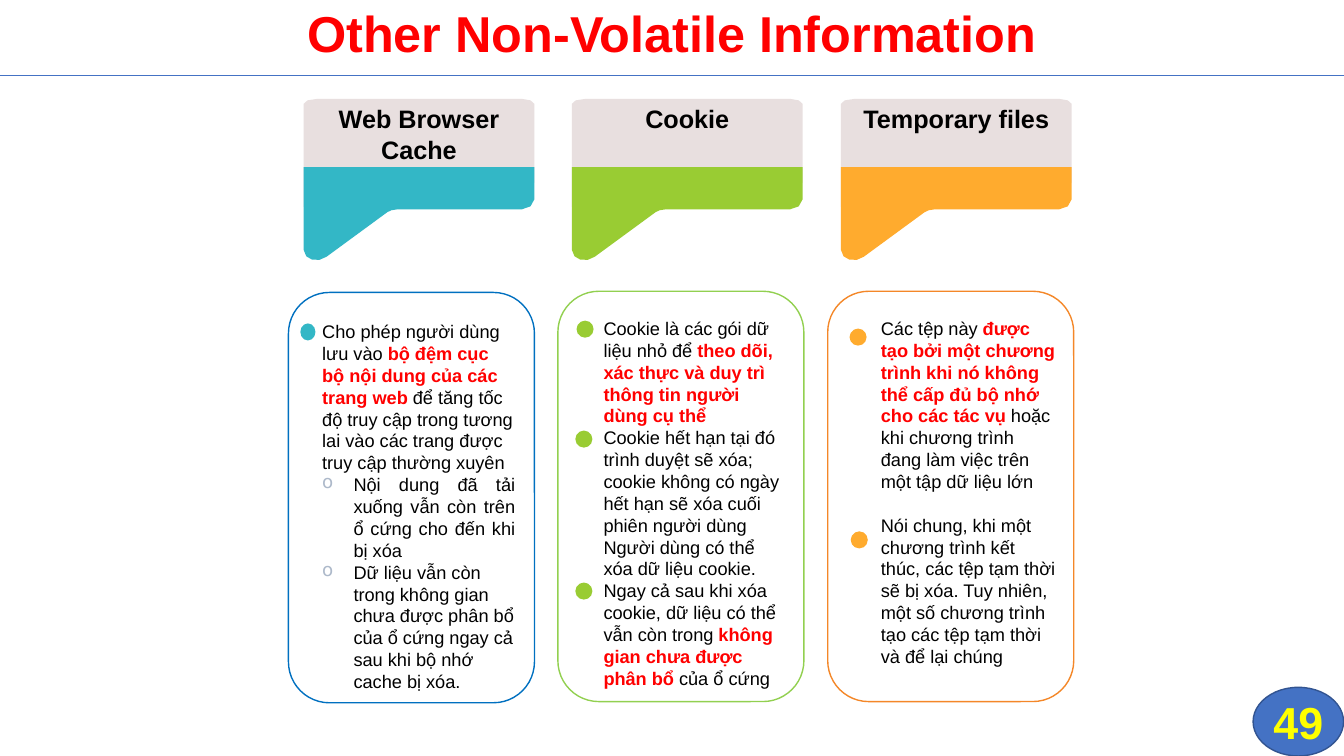
from lxml import etree
from pptx import Presentation
from pptx.dml.color import RGBColor
from pptx.enum.shapes import MSO_CONNECTOR, MSO_SHAPE
from pptx.enum.text import MSO_ANCHOR, MSO_AUTO_SIZE, PP_ALIGN
from pptx.oxml import parse_xml
from pptx.oxml.ns import nsdecls, qn
from pptx.util import Cm, Pt

COLORS = {
    "white": "FFFFFF", "black": "000000", "red": "FF0000", "yellow": "FFFF00",
    "blue": "4472C4", "dark blue": "325491", "header": "E8DFDF", "bullet": "ADB9CA",
    "teal": "33B7C6", "green": "99CC33", "orange": "FFAB2E",
    "teal frame": "0070C0", "green frame": "92D050", "orange frame": "F48728",
}


def paint(shape, fill, line=None):
    """Give a shape a flat fill and a 1 pt outline, or no outline."""
    shape.shadow.inherit = False
    shape.fill.solid()
    shape.fill.fore_color.rgb = RGBColor.from_string(COLORS[fill])
    if line:
        shape.line.color.rgb = RGBColor.from_string(COLORS[line])
        shape.line.width = Pt(1)
    else:
        shape.line.fill.background()


def set_font(font, size, color, bold):
    font.name = "Arial"
    font.size = Pt(size)
    font.bold = bold
    font.color.rgb = RGBColor.from_string(COLORS[color])


presentation = Presentation()
presentation.slide_width, presentation.slide_height = Cm(33.87), Cm(19.05)
slide = presentation.slides.add_slide(presentation.slide_layouts[5])
shapes = slide.shapes

# Title, rule and slide number
title = shapes.title
title.left, title.top, title.width, title.height = Cm(0), Cm(-0.08), Cm(33.87), Cm(1.98)
title.text_frame.text = "Other Non-Volatile Information"
title.text_frame.auto_size = MSO_AUTO_SIZE.NONE
title.text_frame.vertical_anchor = MSO_ANCHOR.MIDDLE
paragraph = title.text_frame.paragraphs[0]
paragraph.alignment = PP_ALIGN.CENTER
paragraph.line_spacing = 0.9
set_font(paragraph.font, 36, "red", True)

rule = shapes.add_connector(MSO_CONNECTOR.STRAIGHT, Cm(0), Cm(1.9), Cm(33.87), Cm(1.9))
rule.line.color.rgb = RGBColor.from_string(COLORS["blue"])
rule.line.width = Pt(0.5)
etree.SubElement(rule._element.spPr, qn("a:effectLst"))

badge_box = Cm(31.58), Cm(17.32), Cm(2.28), Cm(1.73)
paint(shapes.add_shape(MSO_SHAPE.FLOWCHART_CONNECTOR, *badge_box), "blue", "dark blue")
number_frame = shapes.add_textbox(*badge_box).text_frame
number_frame.margin_left = number_frame.margin_right = 0
number_frame.margin_top = number_frame.margin_bottom = 0
number_frame.vertical_anchor = MSO_ANCHOR.MIDDLE
number_frame.word_wrap = True
number_frame.text = "49"
paragraph = number_frame.paragraphs[0]
paragraph.alignment = PP_ALIGN.CENTER
set_font(paragraph.font, 32, "yellow", True)

# Banner outlines in cm, with each rounded corner cut by one middle point
HEADER_OUTLINE = [
    (0.36, 0), (0.1, 0.04), (0, 0.13), (0, 2.72), (0.21, 2.84), (0.58, 2.82),
    (2.11, 2.26), (2.34, 2.24), (5.49, 2.24), (5.72, 2.2), (5.82, 2.11),
    (5.82, 0.13), (5.72, 0.04), (5.49, 0),
]
TAIL_OUTLINE = [
    (0, 0), (0, 2.08), (0.07, 2.25), (0.21, 2.33), (0.4, 2.34), (0.58, 2.26),
    (2.11, 1.14), (2.21, 1.09), (2.34, 1.07), (5.49, 1.07), (5.72, 0.99),
    (5.82, 0.81), (5.82, 0),
]

# Paragraphs hold (text, emphasised) runs; dots and boxes are in cm
COLUMNS = [
    dict(
        color="teal", heading="Web Browser Cache", banner_left=7.65,
        frame=(7.27, 7.37), text_box=(7.87, 7.95, 5.36), dots=[(7.57, 8.15)], dot_width=0.38,
        paragraphs=[
            [("Cho phép người dùng lưu vào ", False),
             ("bộ đệm cục bộ nội dung của các trang web ", True),
             ("để tăng tốc độ truy cập trong tương lai vào các trang được truy cập thường xuyên",
              False)],
            [("Nội dung đã tải xuống vẫn còn trên ổ cứng cho đến khi bị xóa", False)],
            [("Dữ liệu vẫn còn trong không gian chưa được phân bổ của ổ cứng ngay cả sau khi "
              "bộ nhớ cache bị xóa.", False)],
        ],
        bulleted=(1, 2), justified=(1,), paragraph_gap=0),
    dict(
        color="green", heading="Cookie", banner_left=14.41,
        frame=(14.06, 7.34), text_box=(14.96, 7.87, 5.05),
        dots=[(14.53, 8.08), (14.5, 10.85), (14.5, 14.68)], dot_width=0.43,
        paragraphs=[
            [("Cookie là các gói dữ liệu nhỏ để ", False),
             ("theo dõi, xác thực và duy trì thông tin người dùng cụ thể", True)],
            [("Cookie hết hạn tại đó trình duyệt sẽ xóa; cookie không có ngày hết hạn sẽ xóa "
              "cuối phiên người dùng", False)],
            [("Người dùng có thể xóa dữ liệu cookie. Ngay cả sau khi xóa cookie, dữ liệu có "
              "thể vẫn còn trong", False),
             (" không gian chưa được phân bổ ", True),
             ("của ổ cứng", False)],
        ],
        bulleted=(), justified=(), paragraph_gap=0),
    dict(
        color="orange", heading="Temporary files", banner_left=21.19,
        frame=(20.86, 7.34), text_box=(21.95, 7.87, 4.93),
        dots=[(21.41, 8.28), (21.44, 13.39)], dot_width=0.43,
        paragraphs=[
            [("Các tệp này ", False),
             ("được tạo bởi một chương trình khi nó không thể cấp đủ bộ nhớ cho các tác vụ ",
              True),
             ("hoặc khi chương trình đang làm việc trên một tập dữ liệu lớn", False)],
            [("Nói chung, khi một chương trình kết thúc, các tệp tạm thời sẽ bị xóa. Tuy "
              "nhiên, một số chương trình tạo các tệp tạm thời và để lại chúng", False)],
        ],
        bulleted=(), justified=(), paragraph_gap=15.6),
]

for column in COLUMNS:
    color = column["color"]

    # Banner: grey header with a coloured tail over its lower part
    for outline, top, fill in ((HEADER_OUTLINE, 2.49, "header"), (TAIL_OUTLINE, 4.21, color)):
        corners = [(Cm(column["banner_left"] + x), Cm(top + y)) for x, y in outline]
        builder = shapes.build_freeform(*corners[0])
        builder.add_line_segments(corners[1:], close=True)
        banner = builder.convert_to_shape()
        paint(banner, fill)
        if fill == "header":
            banner.text_frame.text = column["heading"]
            banner.text_frame.word_wrap = True
            banner.text_frame.vertical_anchor = MSO_ANCHOR.TOP
            paragraph = banner.text_frame.paragraphs[0]
            paragraph.alignment = PP_ALIGN.CENTER
            set_font(paragraph.font, 18, "black", True)

    # Rounded frame and its text
    left, top = column["frame"]
    frame = shapes.add_shape(MSO_SHAPE.ROUNDED_RECTANGLE, Cm(left), Cm(top), Cm(6.2), Cm(10.34))
    paint(frame, "white", f"{color} frame")

    left, top, width = column["text_box"]
    text_frame = shapes.add_textbox(Cm(left), Cm(top), Cm(width), Cm(9.7)).text_frame
    text_frame.word_wrap = True
    text_frame.auto_size = MSO_AUTO_SIZE.SHAPE_TO_FIT_TEXT
    for index, runs in enumerate(column["paragraphs"]):
        paragraph = text_frame.add_paragraph() if index else text_frame.paragraphs[0]
        if index and column["paragraph_gap"]:
            paragraph.space_before = Pt(column["paragraph_gap"])
        if index in column["justified"]:
            paragraph.alignment = PP_ALIGN.JUSTIFY
        if index in column["bulleted"]:
            properties = paragraph._p.get_or_add_pPr()
            properties.set("marL", str(Cm(0.79)))
            properties.set("indent", str(-Cm(0.79)))
            properties.append(parse_xml(
                f'<a:buClr {nsdecls("a")}><a:srgbClr val="{COLORS["bullet"]}"/></a:buClr>'))
            properties.append(parse_xml(f'<a:buChar {nsdecls("a")} char="o"/>'))
        for text, emphasised in runs:
            run = paragraph.add_run()
            run.text = text
            set_font(run.font, 13, "red" if emphasised else "black", emphasised)

    for left, top in column["dots"]:
        dot = shapes.add_shape(
            MSO_SHAPE.OVAL, Cm(left), Cm(top), Cm(column["dot_width"]), Cm(0.43))
        paint(dot, color)

presentation.save("out.pptx")
